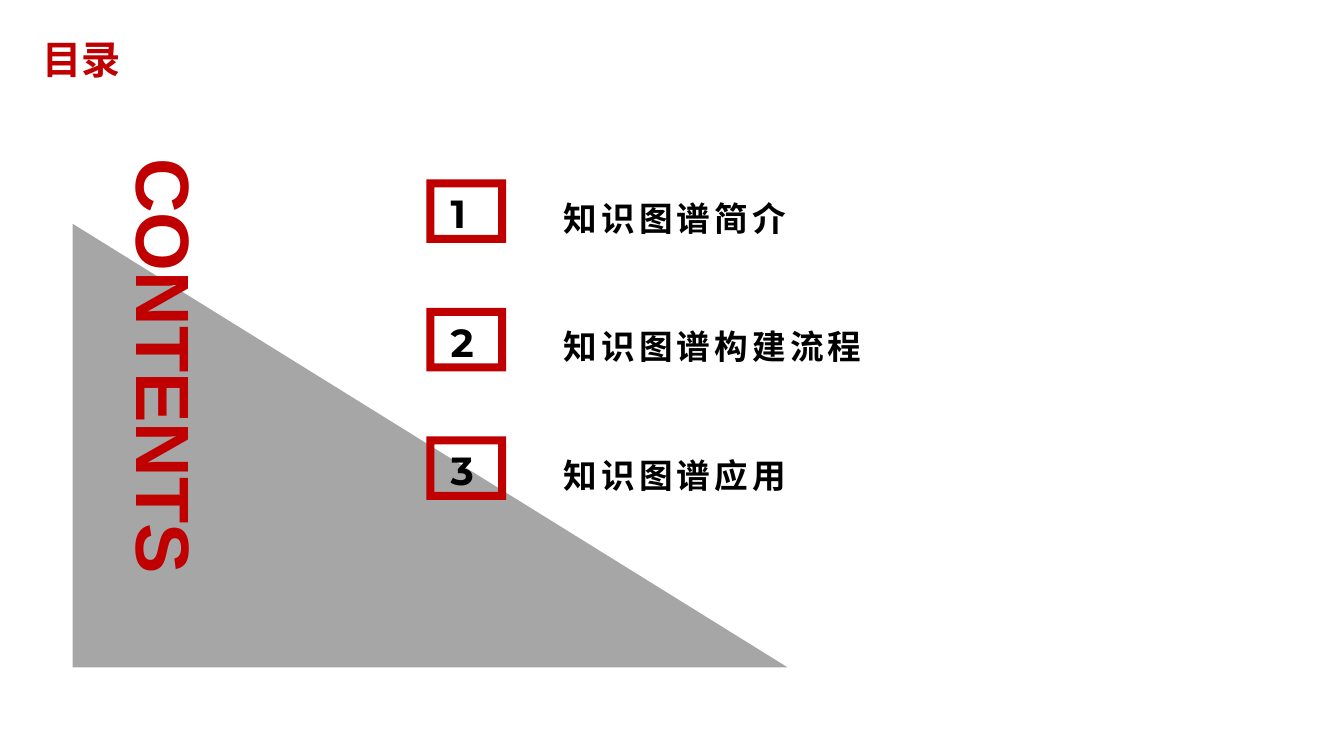
from lxml.etree import SubElement
from pptx import Presentation
from pptx.dml.color import RGBColor
from pptx.enum.shapes import MSO_SHAPE
from pptx.enum.text import MSO_ANCHOR, MSO_AUTO_SIZE, PP_ALIGN
from pptx.oxml.ns import qn
from pptx.util import Inches, Pt

TITLE = "目录"
SIDE_LABEL = "CONTENTS"
CHAPTERS = ["知识图谱简介", "知识图谱构建流程", "知识图谱应用"]

COLORS = {"red": "C00000", "gray": "A6A6A6", "black": "000000"}
CHINESE_FONT = "Noto Sans CJK SC"
FIRST_ROW_TOP = 1.78
ROW_STEP = 1.275


def style_text(text_frame, size, font_name, color, spacing=0):
    """Format the only run; spacing is the letter spacing in points."""
    paragraph = text_frame.paragraphs[0]
    paragraph.alignment = PP_ALIGN.LEFT
    font = paragraph.runs[0].font
    font.size = Pt(size)
    font.bold = True
    font.name = font_name
    font.color.rgb = RGBColor.from_string(COLORS[color])
    properties = paragraph.runs[0]._r.get_or_add_rPr()
    SubElement(properties, qn("a:ea")).set("typeface", font_name)
    if spacing:
        properties.set("spc", str(spacing * 100))


def add_text(shapes, text, box, size, font_name, color, spacing=0, wrap=False):
    label = shapes.add_textbox(*map(Inches, box))
    frame = label.text_frame
    frame.text = text
    frame.word_wrap = wrap
    frame.auto_size = MSO_AUTO_SIZE.SHAPE_TO_FIT_TEXT
    style_text(frame, size, font_name, color, spacing)
    return label


def add_filled_shape(shapes, preset, box, color):
    shape = shapes.add_shape(preset, *map(Inches, box))
    shape.shadow.inherit = False
    shape.fill.solid()
    shape.fill.fore_color.rgb = RGBColor.from_string(COLORS[color])
    shape.line.fill.background()


def add_chapter(slide, number, name, top):
    badge = slide.shapes.add_group_shape()
    add_filled_shape(badge.shapes, MSO_SHAPE.FRAME, (4.23, top, 0.79, 0.63), "red")
    add_text(badge.shapes, str(number), (4.37, top + 0.05, 0.49, 0.57),
             28, "Montserrat", "black", wrap=True)
    name_width = 0.19 + 0.38 * len(name)
    add_text(slide.shapes, name, (5.49, top + 0.13, name_width, 0.5),
             24, CHINESE_FONT, "black", spacing=3)


def main():
    prs = Presentation()
    prs.slide_width, prs.slide_height = Inches(13.33), Inches(7.5)
    slide = prs.slides.add_slide(prs.slide_layouts[5])

    title = slide.shapes.title
    title.left, title.top = Inches(0.32), Inches(0.29)
    title.width, title.height = Inches(11.5), Inches(0.58)
    title.text_frame.text = TITLE
    title.text_frame.auto_size = MSO_AUTO_SIZE.NONE
    title.text_frame.vertical_anchor = MSO_ANCHOR.MIDDLE
    style_text(title.text_frame, 28, CHINESE_FONT, "red")

    add_filled_shape(slide.shapes, MSO_SHAPE.RIGHT_TRIANGLE,
                     (0.72, 2.22, 7.09, 4.4), "gray")
    side_label = add_text(slide.shapes, SIDE_LABEL, (1.04, 1.47, 1.11, 4.27),
                          54, "Arial", "red")
    side_label.text_frame._txBody.bodyPr.set("vert", "eaVert")

    for index, name in enumerate(CHAPTERS):
        add_chapter(slide, index + 1, name, FIRST_ROW_TOP + index * ROW_STEP)

    prs.save("out.pptx")


if __name__ == "__main__":
    main()
